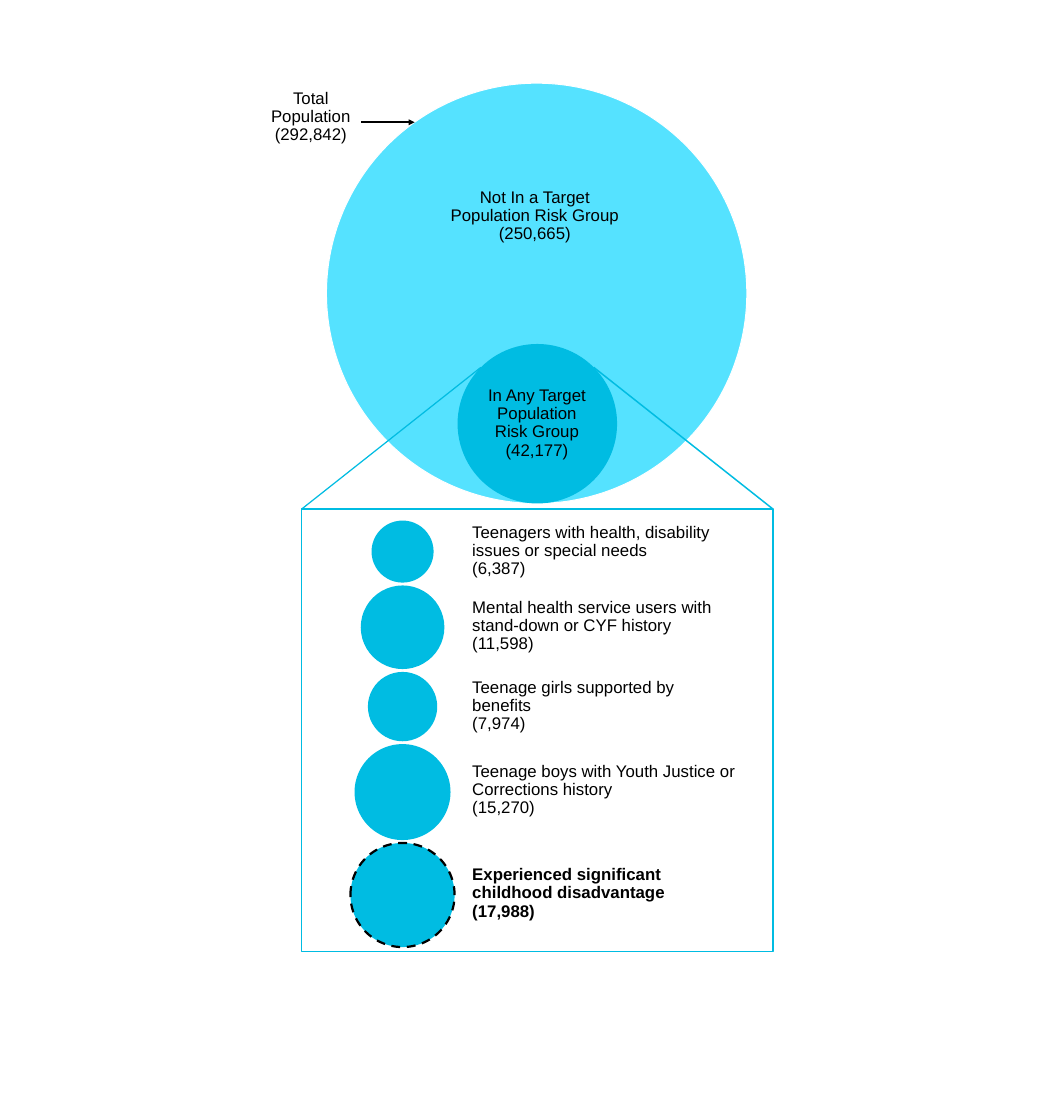
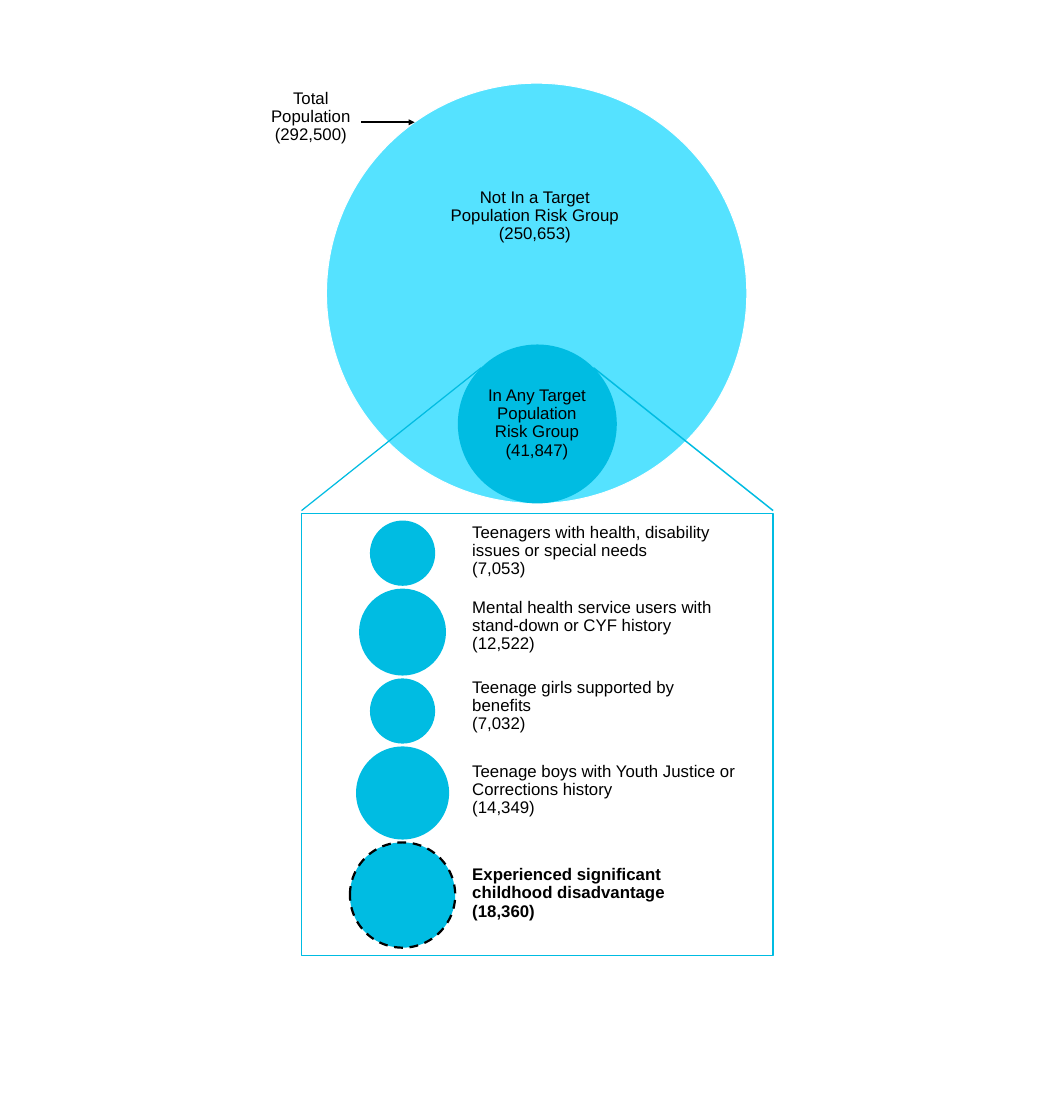
from dataclasses import dataclass
from math import sqrt

from lxml.etree import SubElement
from pptx import Presentation
from pptx.dml.color import RGBColor as RGB
from pptx.enum.dml import MSO_LINE_DASH_STYLE as Dash
from pptx.enum.shapes import MSO_CONNECTOR as Conn, MSO_SHAPE as Shape
from pptx.enum.text import MSO_ANCHOR as Anchor, PP_ALIGN as Align
from pptx.oxml.ns import qn
from pptx.util import Inches, Pt


@dataclass(frozen=True)
class Theme:
    light: RGB = RGB(0x55, 0xE2, 0xFF)
    strong: RGB = RGB(0x00, 0xBC, 0xE2)
    ink: RGB = RGB(0, 0, 0)
    paper: RGB = RGB(255, 255, 255)
    font: str = "Arial"
    size: int = 17
    spacing: float = 0.9


@dataclass(frozen=True)
class Box:
    x: float
    y: float
    w: float
    h: float

    def inner(self, dx, dy, w, h):
        return Box(self.x + dx, self.y + dy, w, h)

    def emu(self):
        return [cells(v) for v in (self.x, self.y, self.w, self.h)]


THEME = Theme()
COLS, ROWS = 149.6, 157.5  # slide grid, ten cells to the inch
VENN = Box(45.9, 11.7, 59.1, 59.1)
GROUPS = Box(42.4, 73.2, 66.3, 60.2)
GAP = 0.4  # between stacked circles
CIRCLE_AXIS, LABEL_LEFT, LABEL_WIDTH = 14.2, 22.7, 39.9

# Risk group, centre and height of its label inside GROUPS
RISK_GROUPS = [
    ("Teenagers with health, disability issues or special needs", 4.25, 8.5),
    ("Mental health service users with stand-down or CYF history", 14.85, 11.1),
    ("Teenage girls supported by benefits", 26.05, 9.5),
    ("Teenage boys with Youth Justice or Corrections history", 37.9, 11.8),
    ("Experienced significant childhood disadvantage", 52.45, 8.5),
]


def cells(n):
    return Inches(n / 10)


def add_outline(s, kind, box, fill=None, line=None, width=1, dash=None):
    sp = s.shapes.add_shape(kind, *box.emu())
    sp.shadow.inherit = False
    if fill is None:
        sp.fill.background()
    else:
        sp.fill.solid()
        sp.fill.fore_color.rgb = fill
    if line is None:
        sp.line.fill.background()
    else:
        sp.line.color.rgb = line
        sp.line.width = Pt(width)
        if dash:
            sp.line.dash_style = dash


def add_label(s, box, name, count, align=Align.LEFT, inset=1.3, bold=False):
    tf = s.shapes.add_textbox(*box.emu()).text_frame
    tf.word_wrap = True
    tf.vertical_anchor = Anchor.MIDDLE
    tf.margin_left = tf.margin_right = cells(inset)
    tf.margin_top = tf.margin_bottom = cells(inset)
    tf.text = f"{name}\n({count:,})"
    for p in tf.paragraphs:
        p.alignment = align
        p.line_spacing = THEME.spacing
        p.font.name = THEME.font
        p.font.size = Pt(THEME.size)
        p.font.bold = bold
        p.font.color.rgb = THEME.ink


def add_line(s, x1, y1, x2, y2, color, width, arrow=False):
    c = s.shapes.add_connector(Conn.STRAIGHT, *map(cells, (x1, y1, x2, y2)))
    c.line.color.rgb = color
    c.line.width = Pt(width)
    sp_pr = c._element.spPr
    if arrow:
        SubElement(sp_pr.find(qn("a:ln")), qn("a:tailEnd"), type="triangle")
    SubElement(sp_pr, qn("a:effectLst"))


def draw_venn(s, box, total, outside, inside, frame, funnel_end):
    """Whole population, the share at risk, and the funnel to the groups."""
    add_outline(s, Shape.OVAL, box, THEME.light, THEME.paper)
    add_label(s, box.inner(-10.5, 0.3, 16.6, 8.9), "Total Population", total,
              Align.CENTER, 1.5)
    add_line(s, box.x + 4.9, box.y + 5.5, box.x + 12.4, box.y + 5.5,
             THEME.ink, 2, arrow=True)
    add_label(s, box.inner(15.8, 14.2, 27, 8.9),
              "Not In a Target Population Risk Group", outside,
              Align.CENTER, 1.5)

    # Circle areas are in proportion to the counts
    d = box.w * sqrt(inside / total)
    mid = frame.x + frame.w / 2
    bottom = box.y + box.h
    add_outline(s, Shape.OVAL, Box(mid - d / 2, bottom - d, d, d), THEME.strong)

    # Funnel leaves the inner circle at 45 degrees
    reach = d / 2 * sqrt(0.5)
    start = bottom - d / 2 - reach
    add_line(s, frame.x, funnel_end, mid - reach, start, THEME.strong, 1.25)
    add_line(s, mid + reach, start, frame.x + frame.w, funnel_end,
             THEME.strong, 1.5)
    add_label(s, box.inner(21.2, 41.9, 16.8, 11.9),
              "In Any Target Population Risk Group", inside, Align.CENTER)


def draw_groups(s, box, counts, total, frame):
    """Framed stack of circles, each with its label."""
    y = 0
    for (name, centre, height), count in zip(RISK_GROUPS, counts):
        last = name == RISK_GROUPS[-1][0]
        d = VENN.w * sqrt(count / total)
        add_outline(s, Shape.OVAL, box.inner(CIRCLE_AXIS - d / 2, y, d, d),
                    THEME.strong, THEME.ink if last else None, 2.25, Dash.DASH)
        label = box.inner(LABEL_LEFT, centre - height / 2, LABEL_WIDTH, height)
        add_label(s, label, name, count, bold=last)
        y += d + GAP
    add_outline(s, Shape.RECTANGLE, frame, line=THEME.strong, width=1.5)


def add_population_slide(prs, total, outside, inside, counts, frame_top,
                         funnel_end):
    s = prs.slides.add_slide(prs.slide_layouts[6])
    frame = Box(GROUPS.x, frame_top, GROUPS.w, 62.2)
    draw_venn(s, VENN, total, outside, inside, frame, funnel_end)
    draw_groups(s, GROUPS, counts, total, frame)


prs = Presentation()
prs.slide_width, prs.slide_height = cells(COLS), cells(ROWS)
add_population_slide(prs, 292842, 250665, 42177,
                     [6387, 11598, 7974, 15270, 17988], 71.6, 71.6)
add_population_slide(prs, 292500, 250653, 41847,
                     [7053, 12522, 7032, 14349, 18360], 72.2, 71.8)
prs.save("out.pptx")
